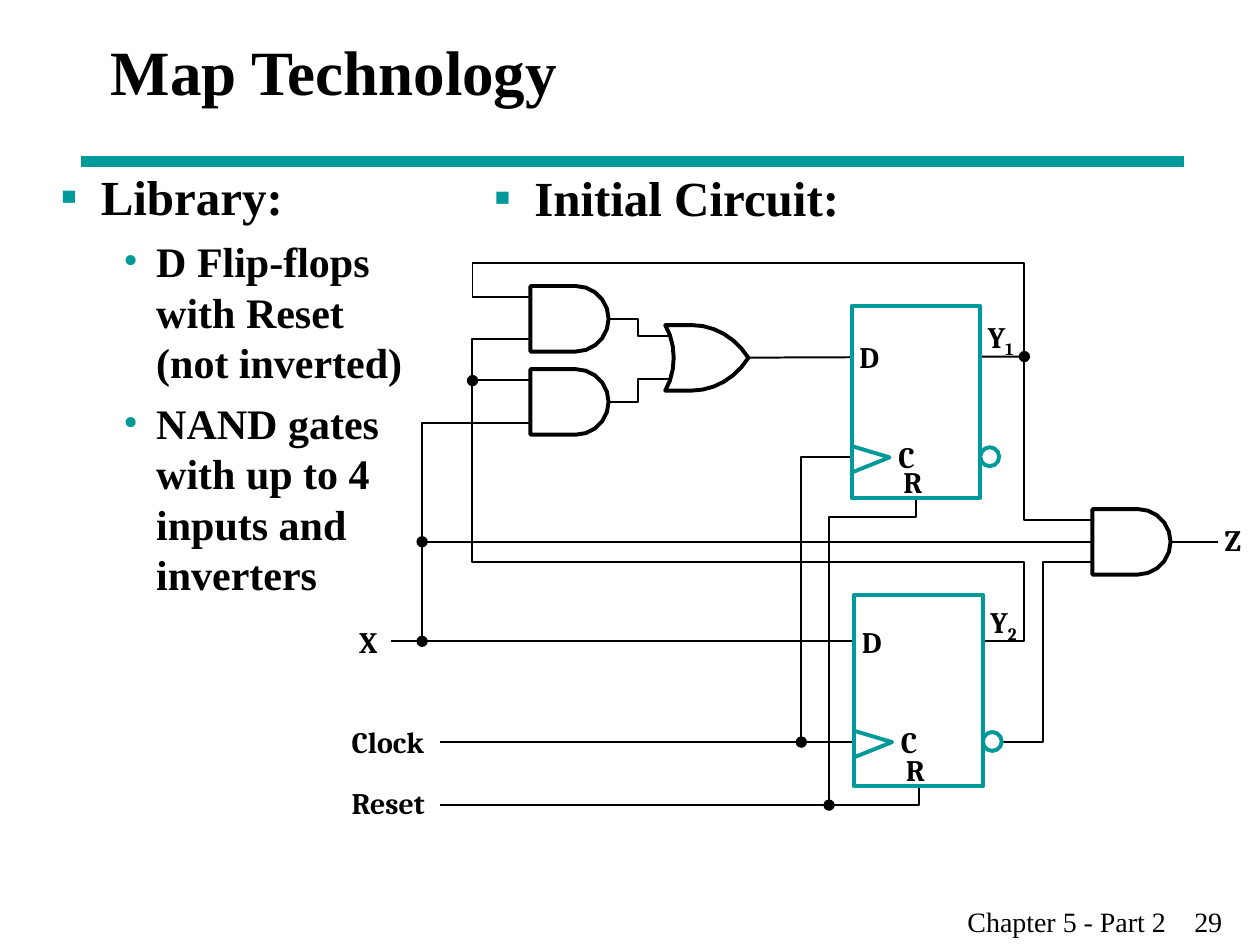
from math import cos, pi, sin

from lxml.etree import SubElement
from pptx import Presentation
from pptx.dml.color import RGBColor
from pptx.enum.shapes import MSO_CONNECTOR, MSO_SHAPE
from pptx.enum.text import MSO_ANCHOR, MSO_AUTO_SIZE, PP_ALIGN
from pptx.oxml.ns import qn
from pptx.util import Inches, Pt

TEAL = RGBColor(0x00, 0x99, 0x99)
BLACK = RGBColor(0, 0, 0)
WHITE = RGBColor(255, 255, 255)
SERIF = "Times New Roman"
WIRE = 1.13
OUTLINE = 2.25

prs = Presentation()
prs.slide_width, prs.slide_height = Inches(10), Inches(7.5)
slide = prs.slides.add_slide(prs.slide_layouts[1])
shapes = slide.shapes


def add_text(paragraph, text, size, font=SERIF, bold=True):
    run = paragraph.add_run()
    run.text = text
    run.font.size = Pt(size)
    run.font.name = font
    run.font.bold = bold
    run.font.color.rgb = BLACK
    return run


def draw_path(points, color, width, closed=False):
    corners = [(Inches(x), Inches(y)) for x, y in points]
    builder = shapes.build_freeform(*corners[0])
    builder.add_line_segments(corners[1:], close=closed)
    path = builder.convert_to_shape()
    path.shadow.inherit = False
    path.line.color.rgb = color
    path.line.width = Pt(width)
    if closed:
        path.fill.solid()
        path.fill.fore_color.rgb = WHITE
    else:
        path.fill.background()


# Title
title = shapes.title
title.left, title.top, title.width, title.height = Inches(0.78), Inches(0), Inches(8.5), Inches(1.12)
title.text_frame.vertical_anchor = MSO_ANCHOR.MIDDLE
title.text_frame.auto_size = MSO_AUTO_SIZE.NONE
heading = title.text_frame.paragraphs[0]
heading.alignment = PP_ALIGN.LEFT
add_text(heading, "Map Technology", 36)

# Bulleted lists: level and lines of each item
library = slide.placeholders[1]
library.left, library.top, library.width, library.height = Inches(0.38), Inches(1.27), Inches(3.1), Inches(5.5)
circuit_heading = shapes.add_textbox(Inches(3.74), Inches(1.28), Inches(3.1), Inches(0.72))
library_items = [
    (0, ["Library:"]),
    (1, ["D Flip-flops", "with Reset", "(not inverted)"]),
    (1, ["NAND gates", "with up to 4", "inputs and", "inverters"]),
]
BULLETS = [("▪", 0.32, -0.32, 28), ("•", 0.76, -0.26, 24)]
for holder, items, alignment in [
    (library, library_items, PP_ALIGN.LEFT),
    (circuit_heading, [(0, ["Initial Circuit:"])], PP_ALIGN.CENTER),
]:
    frame = holder.text_frame
    frame.word_wrap = True
    frame.auto_size = MSO_AUTO_SIZE.NONE
    frame.margin_top = Inches(0.05)
    for index, (level, lines) in enumerate(items):
        item = frame.add_paragraph() if index else frame.paragraphs[0]
        mark, margin, indent, size = BULLETS[level]
        item.level = level
        item.alignment = alignment
        item.line_spacing = 1.0
        item.space_before = Pt(6 if index else 0)
        props = item._p.get_or_add_pPr()
        props.set("marL", str(Inches(margin)))
        props.set("indent", str(Inches(indent)))
        bullet_color = SubElement(props, qn("a:buClr"))
        SubElement(bullet_color, qn("a:srgbClr"), val=str(TEAL))
        SubElement(props, qn("a:buFont"), typeface=SERIF)
        SubElement(props, qn("a:buChar"), char=mark)
        for number, line in enumerate(lines):
            if number:
                item.add_line_break()
            add_text(item, line, size)

# Footer with the page number at a tab stop
footer = shapes.add_textbox(Inches(7.58), Inches(7.13), Inches(2.42), Inches(0.37))
footer.text_frame.word_wrap = True
footer_line = footer.text_frame.paragraphs[0]
tab_stops = SubElement(footer_line._p.get_or_add_pPr(), qn("a:tabLst"))
SubElement(tab_stops, qn("a:tab"), pos=str(Inches(1.8)), algn="l")
add_text(footer_line, "Chapter 5 - Part 2\t29", 16, bold=False)

# Title rule and straight wires
for x1, y1, x2, y2, color, width in [
    (0.64, 1.28, 9.4, 1.28, TEAL, 6),
    (3.35, 4.3, 9.67, 4.3, BLACK, WIRE),
    (3.75, 3.02, 4.39, 3.02, BLACK, WIRE),
    (8.13, 2.83, 5.57, 2.84, BLACK, WIRE),
]:
    straight = shapes.add_connector(MSO_CONNECTOR.STRAIGHT, Inches(x1), Inches(y1), Inches(x2), Inches(y2))
    straight.line.color.rgb = color
    straight.line.width = Pt(width)
    SubElement(straight._element.spPr, qn("a:effectLst"))

# Bent wires
for wire in [
    [(4.52, 2.36), (3.75, 2.36), (3.75, 2.09), (8.13, 2.09), (8.13, 4.13), (8.94, 4.13)],
    [(4.52, 2.69), (3.75, 2.69), (3.75, 4.46), (8.13, 4.46), (8.13, 5.09), (3.1, 5.09)],
    [(8.84, 4.46), (8.28, 4.46), (8.28, 5.89), (3.49, 5.89)],
    [(7.29, 5.64), (7.29, 6.39), (3.49, 6.39)],
    [(4.35, 3.36), (3.35, 3.36), (3.35, 5.09)],
    [(4.38, 2.53), (5.06, 2.53), (5.06, 2.67), (5.47, 2.67)],
    [(4.38, 3.19), (5.06, 3.19), (5.06, 3.01), (5.47, 3.01)],
    [(7.33, 3.63), (6.36, 3.63), (6.36, 5.89)],
    [(6.58, 6.39), (6.58, 4.1), (7.27, 4.1), (7.27, 3.69)],
]:
    draw_path(wire, BLACK, WIRE)

# AND gates: flat back and half-round front
ARC_STEPS = 10
RADIUS = 0.26
for left, middle in [(8.67, 4.3), (4.21, 3.19), (4.21, 2.53)]:
    angles = [pi / 2 - pi * step / ARC_STEPS for step in range(ARC_STEPS + 1)]
    front = [(left + 0.36 + RADIUS * cos(a), middle + RADIUS * sin(a)) for a in angles]
    draw_path([(left, middle - RADIUS), (left, middle + RADIUS)] + front, BLACK, OUTLINE, closed=True)

# OR gate: three cubic curves
CURVE_STEPS = 6
or_gate = []
for curve in [
    [(5.28, 3.1), (5.37, 2.95), (5.37, 2.73), (5.28, 2.58)],
    [(5.49, 2.58), (5.67, 2.58), (5.84, 2.68), (5.94, 2.84)],
    [(5.94, 2.84), (5.84, 3), (5.67, 3.1), (5.49, 3.1)],
]:
    for step in range(CURVE_STEPS + 1):
        t = step / CURVE_STEPS
        weights = [(1 - t) ** 3, 3 * t * (1 - t) ** 2, 3 * t * t * (1 - t), t ** 3]
        or_gate.append(tuple(sum(w * p[axis] for w, p in zip(weights, curve)) for axis in (0, 1)))
draw_path(or_gate, BLACK, OUTLINE, closed=True)

# Flip-flops: box, inverted output, clock mark; their labels follow the pins
labels = [
    ("X", "", 2.85, 4.95, 0.17),
    ("Clock", "", 2.79, 5.74, 0.66),
    ("Reset", "", 2.79, 6.23, 0.65),
    ("Z", "", 9.72, 4.14, 0.16),
]
for left, top, data_y, clock_y, number in [(6.76, 2.43, 2.83, 3.63, "1"), (6.78, 4.72, 5.09, 5.89, "2")]:
    for kind, x, y, width, height in [
        (MSO_SHAPE.RECTANGLE, left, top, 1.02, 1.52),
        (MSO_SHAPE.OVAL, left + 1.02, clock_y - 0.08, 0.15, 0.15),
    ]:
        part = shapes.add_shape(kind, Inches(x), Inches(y), Inches(width), Inches(height))
        part.shadow.inherit = False
        part.fill.solid()
        part.fill.fore_color.rgb = WHITE
        part.line.color.rgb = TEAL
        part.line.width = Pt(OUTLINE)
    draw_path([(left, clock_y - 0.09), (left + 0.3, clock_y), (left, clock_y + 0.12)], TEAL, OUTLINE)
    labels += [
        ("D", "", left + 0.06, data_y - 0.14, 0.18),
        ("C", "", left + 0.37, clock_y - 0.15, 0.16),
        ("R", "", left + 0.41, top + 1.25, 0.17),
        ("Y", number, left + 1.08, data_y - 0.3, 0.24),
    ]

# Junction dots
DOT = 0.09
for x, y in [(3.75, 3.02), (3.35, 4.3), (3.35, 5.09), (6.36, 5.89), (8.13, 2.83), (6.58, 6.39)]:
    junction = shapes.add_shape(
        MSO_SHAPE.OVAL, Inches(x - DOT / 2), Inches(y - DOT / 2), Inches(DOT), Inches(DOT))
    junction.shadow.inherit = False
    junction.fill.solid()
    junction.fill.fore_color.rgb = BLACK
    junction.line.fill.background()

# Signal labels
for name, subscript, x, y, width in labels:
    label = shapes.add_textbox(Inches(x), Inches(y), Inches(width), Inches(0.32 if subscript else 0.28))
    frame = label.text_frame
    frame.margin_left = frame.margin_right = frame.margin_top = frame.margin_bottom = 0
    frame.word_wrap = False
    add_text(frame.paragraphs[0], name, 17, "Cambria")
    if subscript:
        lowered = add_text(frame.paragraphs[0], subscript, 17, "Cambria")
        lowered.font._element.set("baseline", "-25000")

prs.save("out.pptx")
